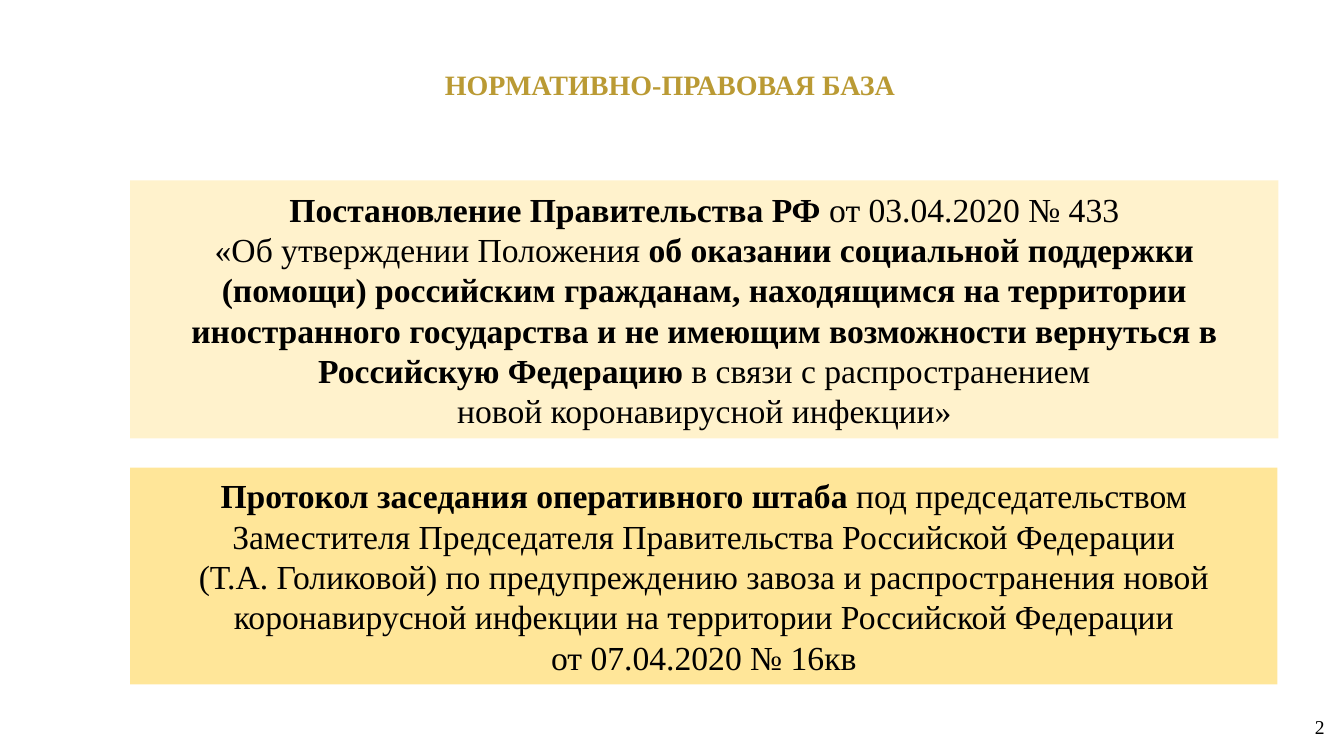
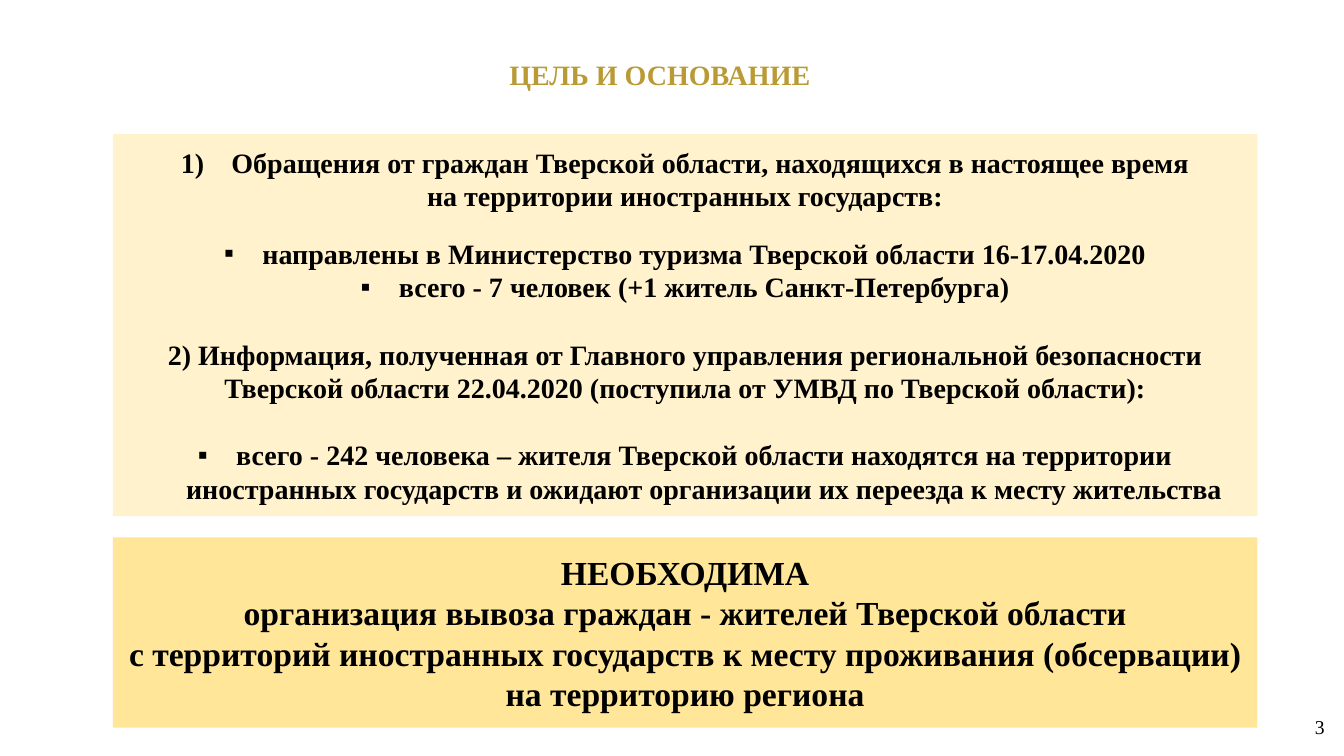
from lxml.etree import SubElement
from pptx import Presentation
from pptx.dml.color import RGBColor
from pptx.enum.shapes import MSO_SHAPE
from pptx.enum.text import MSO_ANCHOR, MSO_AUTO_SIZE, PP_ALIGN
from pptx.oxml.ns import qn
from pptx.util import Inches, Pt

FONT = "Times New Roman"
GOLD = RGBColor(0xBA, 0x9A, 0x34)
CREAM = RGBColor(0xFF, 0xF2, 0xCC)
SAND = RGBColor(0xFF, 0xE6, 0x99)
BLACK = RGBColor(0, 0, 0)

# A paragraph is (runs, mark, space before); a run is (text, bold).
DECREE = [
    ([("Постановление Правительства РФ ", True), ("от 03.04.2020 № 433", False)], None, 0),
    ([("«Об утверждении Положения ", False),
      ("об оказании социальной поддержки (помощи) российским гражданам, "
       "находящимся на территории иностранного государства и не имеющим "
       "возможности вернуться в Российскую Федерацию ", True),
      ("в связи с распространением", False)], None, 0),
    ([("новой коронавирусной инфекции»", False)], None, 0),
]
MINUTES = [
    ([("Протокол заседания оперативного штаба ", True),
      ("под председательством", False)], None, 0),
    ([("Заместителя Председателя Правительства Российской Федерации", False)], None, 0),
    ([("(Т.А. Голиковой) по предупреждению завоза и распространения новой "
       "коронавирусной инфекции на территории Российской Федерации", False)], None, 0),
    ([("от 07.04.2020 № 16кв", False)], None, 0),
]
GROUNDS = [
    ([("Обращения от граждан Тверской области, находящихся в настоящее время", True)],
     "1)", 0),
    ([("на территории иностранных государств:", True)], None, 0),
    ([("направлены в Министерство туризма Тверской области 16-17.04.2020", True)],
     "▪", 17),
    ([("всего - 7 человек (+1 житель Санкт-Петербурга)", True)], "▪", 0),
    ([("2) Информация, полученная от Главного управления региональной безопасности "
       "Тверской области 22.04.2020 (поступила от УМВД по Тверской области):", True)],
     None, 24),
    ([("всего - 242 человека – жителя Тверской области находятся на территории "
       "иностранных государств и ожидают организации их переезда к месту жительства",
       True)], "▪", 24),
]
NEED = [
    ([("НЕОБХОДИМА", True)], None, 0),
    ([("организация вывоза граждан - жителей Тверской области", True)], None, 0),
    ([("с территорий иностранных государств к месту проживания (обсервации) "
       "на территорию региона", True)], None, 0),
]
# A panel is (box, fill, text size, paragraphs).
SLIDES = [
    ("НОРМАТИВНО-ПРАВОВАЯ БАЗА", (1.41, 0.6, 10.47, 0.47), [
        ((1.29, 1.79, 11.39, 2.56), CREAM, 24, DECREE),
        ((1.29, 4.64, 11.38, 2.15), SAND, 24, MINUTES),
    ]),
    ("ЦЕЛЬ И ОСНОВАНИЕ", (1.31, 0.5, 10.47, 0.47), [
        ((1.12, 1.33, 11.35, 3.79), CREAM, 20, GROUNDS),
        ((1.12, 5.33, 11.35, 1.89), SAND, 24, NEED),
    ]),
]
PAGE_BOX = (12.23, 7, 1.04, 0.42)
FIRST = 2
INDENT = {"1)": 0.5, "▪": 0.38}


def set_frame(frame, anchor):
    frame.word_wrap = True
    frame.auto_size = MSO_AUTO_SIZE.NONE
    frame.vertical_anchor = anchor
    frame.margin_left = frame.margin_right = Inches(0.13)
    frame.margin_top = frame.margin_bottom = Inches(0.07)


def add_run(para, text, size, color=BLACK, bold=False):
    run = para.add_run()
    run.text = text
    font = run.font
    font.name, font.size, font.bold = FONT, Pt(size), bold
    font.color.rgb = color


def add_mark(para, mark):
    """Give the paragraph a number or a bullet with a hanging indent."""
    props = para._p.get_or_add_pPr()
    gap = Inches(INDENT[mark])
    props.set("marL", str(gap))
    props.set("indent", str(-gap))
    if mark == "1)":
        SubElement(props, qn("a:buAutoNum"), type="arabicParenR")
    else:
        SubElement(props, qn("a:buFont"), typeface=FONT)
        SubElement(props, qn("a:buChar"), char=mark)


def add_panel(slide, box, fill, size, paras):
    shape = slide.shapes.add_shape(MSO_SHAPE.RECTANGLE, *map(Inches, box))
    shape.shadow.inherit = False
    shape.fill.solid()
    shape.fill.fore_color.rgb = fill
    shape.line.fill.background()
    frame = shape.text_frame
    set_frame(frame, MSO_ANCHOR.MIDDLE)
    for i, (runs, mark, before) in enumerate(paras):
        para = frame.add_paragraph() if i else frame.paragraphs[0]
        para.alignment = PP_ALIGN.CENTER
        if before:
            para.space_before = Pt(before)
        if mark:
            add_mark(para, mark)
        for text, bold in runs:
            add_run(para, text, size, bold=bold)


def add_title(slide, text, box):
    title = slide.shapes.title
    title.left, title.top, title.width, title.height = map(Inches, box)
    set_frame(title.text_frame, MSO_ANCHOR.TOP)
    para = title.text_frame.paragraphs[0]
    para.alignment = PP_ALIGN.CENTER
    add_run(para, text, 20, GOLD, True)


def add_page(slide, number):
    frame = slide.shapes.add_textbox(*map(Inches, PAGE_BOX)).text_frame
    set_frame(frame, MSO_ANCHOR.MIDDLE)
    para = frame.paragraphs[0]
    para.alignment = PP_ALIGN.RIGHT
    add_run(para, str(number), 14)


def main():
    deck = Presentation()
    deck.slide_width, deck.slide_height = Inches(13.33), Inches(7.5)
    for number, (title, box, panels) in enumerate(SLIDES, FIRST):
        slide = deck.slides.add_slide(deck.slide_layouts[5])
        add_title(slide, title, box)
        for panel in panels:
            add_panel(slide, *panel)
        add_page(slide, number)
    deck.save("out.pptx")


if __name__ == "__main__":
    main()
